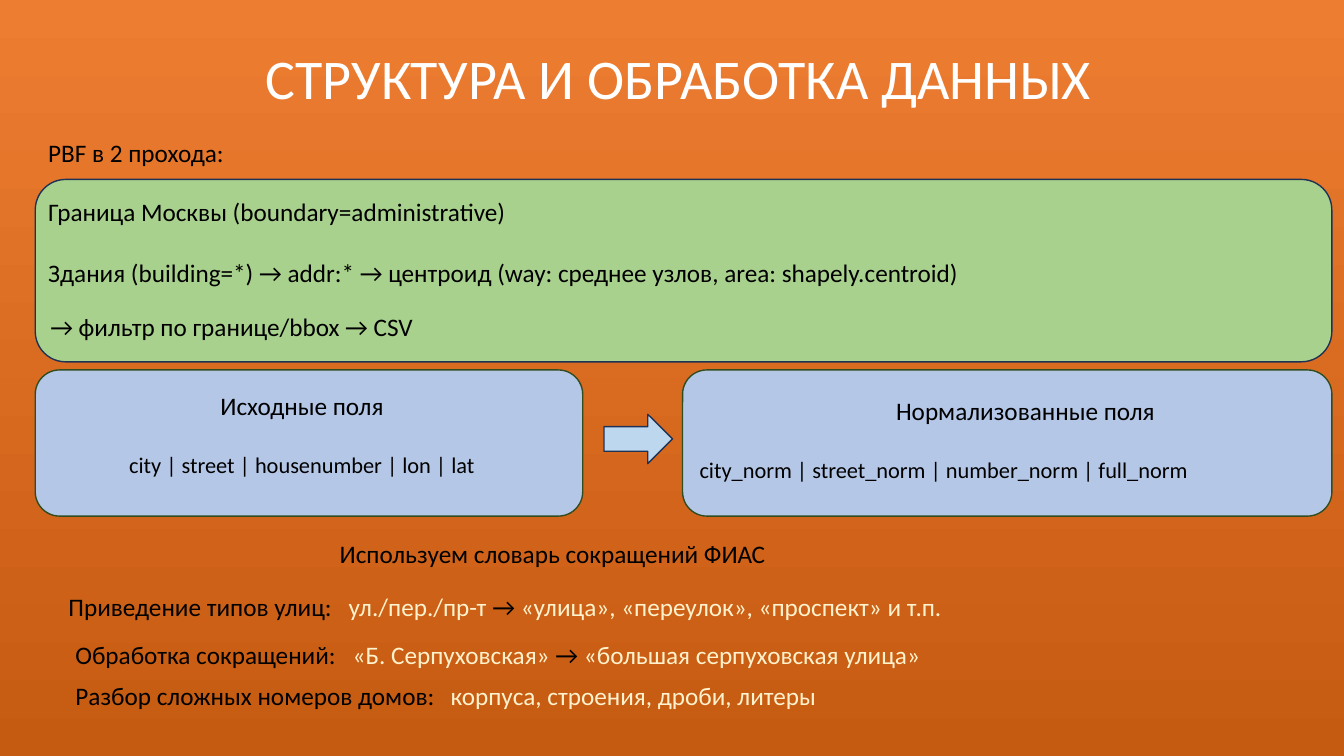
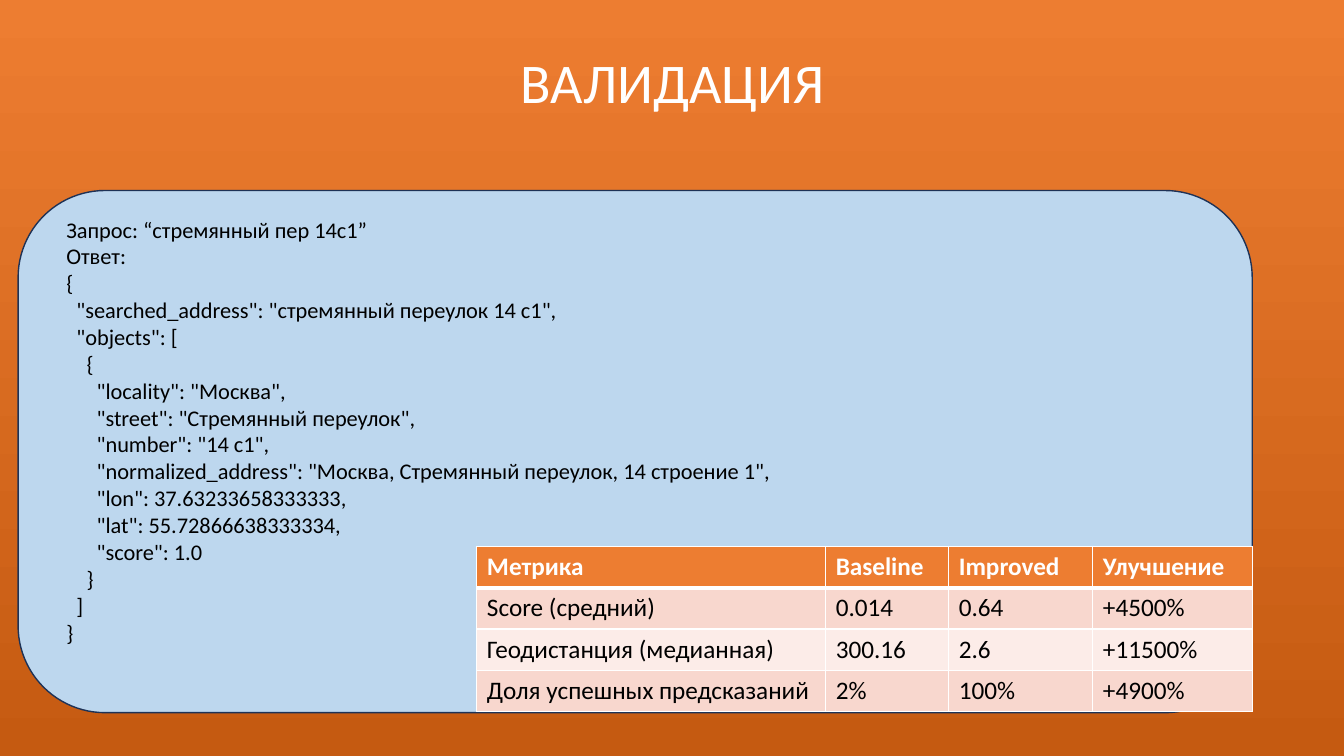
from dataclasses import dataclass
from typing import Any, Optional

from lxml import etree
from pptx import Presentation
from pptx import util as u
from pptx.dml.color import RGBColor
from pptx.enum import shapes, text
from pptx.oxml import ns

# Shared look
ORANGE, RUST, WHITE, BLACK, CREAM = "ED7D31", "C55A11", "FFFFFF", "000000", "FFF2CC"
PERIWINKLE, SKY, GREEN = "B4C7E7", "BDD7EE", "A9D18E"
NAVY, MOSS = "1E3256", "314C1F"
ROSE, BLUSH = "F8D7CE", "FCECE8"
FONT = "Calibri"
LEFT, CENTER = text.PP_ALIGN.LEFT, text.PP_ALIGN.CENTER
ROUND, ARROW = shapes.MSO_SHAPE.ROUNDED_RECTANGLE, shapes.MSO_SHAPE.RIGHT_ARROW


@dataclass
class Box:
    left: float
    top: float
    width: float
    height: float

    def emu(self) -> list[u.Length]:
        return [u.Inches(v) for v in (self.left, self.top, self.width, self.height)]


@dataclass
class Panel:
    box: Box
    fill: str
    line: str
    kind: Any = ROUND


@dataclass
class Para:
    runs: list[tuple[str, str]]
    size: float = 18
    align: Any = LEFT
    before: float = 0
    tab: Optional[float] = None


@dataclass
class Label:
    box: Box
    paras: list[Para]


def plain(words: str, **kw: Any) -> Para:
    return Para([(words, BLACK)], **kw)


def rgb(color: str) -> RGBColor:
    return RGBColor.from_string(color)


def set_font(font: Any, size: float, color: str, bold: bool = False) -> None:
    for name, value in {"name": FONT, "size": u.Pt(size), "bold": bold}.items():
        setattr(font, name, value)
    font.color.rgb = rgb(color)


def set_background(prs: Any) -> None:
    fill = prs.slide_master.background.fill
    fill.gradient()
    fill.gradient_angle = 270
    for stop, color in zip(fill.gradient_stops, (ORANGE, RUST)):
        stop.color.rgb = rgb(color)


def add_titled_slide(prs: Any, title: str, box: Box) -> Any:
    s = prs.slides.add_slide(prs.slide_layouts[5])
    sp = s.shapes.title
    sp.left, sp.top, sp.width, sp.height = box.emu()
    tf = sp.text_frame
    tf.text = title
    tf.vertical_anchor = text.MSO_ANCHOR.MIDDLE
    p = tf.paragraphs[0]
    for name, value in {"alignment": CENTER, "line_spacing": 0.9}.items():
        setattr(p, name, value)
    set_font(p.runs[0].font, 40, WHITE)
    return s


def add_panel(s: Any, panel: Panel) -> None:
    sp = s.shapes.add_shape(panel.kind, *panel.box.emu())
    sp.shadow.inherit = False
    sp.fill.solid()
    sp.fill.fore_color.rgb = rgb(panel.fill)
    sp.line.color.rgb = rgb(panel.line)
    sp.line.width = u.Pt(1)


def add_tab_stop(p: Any, position: float) -> None:
    tabs = etree.SubElement(p._p.get_or_add_pPr(), ns.qn("a:tabLst"))
    etree.SubElement(tabs, ns.qn("a:tab"), pos=str(u.Inches(position)), algn="l")


def add_label(s: Any, label: Label) -> None:
    tf = s.shapes.add_textbox(*label.box.emu()).text_frame
    tf.word_wrap = True
    for i, para in enumerate(label.paras):
        p = tf.paragraphs[0] if i == 0 else tf.add_paragraph()
        if para.tab is not None:
            add_tab_stop(p, para.tab)
        p.alignment = para.align
        if para.before:
            p.space_before = u.Pt(para.before)
        for words, color in para.runs:
            r = p.add_run()
            r.text = words
            set_font(r.font, para.size, color)


def set_borders(cell: Any, widths: dict[str, float]) -> None:
    tcPr = cell._tc.get_or_add_tcPr()
    for side, width in widths.items():
        ln = etree.SubElement(tcPr, ns.qn(f"a:ln{side}"), w=str(u.Pt(width)))
        solid = etree.SubElement(ln, ns.qn("a:solidFill"))
        etree.SubElement(solid, ns.qn("a:srgbClr"), val=WHITE)


def add_metrics_table(s: Any, box: Box, widths: list[float], rows: list[list[str]]) -> None:
    table = s.shapes.add_table(len(rows), len(widths), *box.emu()).table
    for column, width in zip(table.columns, widths):
        column.width = u.Inches(width)
    for i, row in enumerate(rows):
        fill = ORANGE if i == 0 else (BLUSH, ROSE)[i % 2]
        for j, words in enumerate(row):
            cell = table.cell(i, j)
            # The rule under the header is heavier
            set_borders(cell, {"L": 1, "R": 1, "T": 3 if i == 1 else 1, "B": 3 if i == 0 else 1})
            cell.fill.solid()
            cell.fill.fore_color.rgb = rgb(fill)
            cell.text = words
            font = cell.text_frame.paragraphs[0].runs[0].font
            set_font(font, 18, WHITE if i == 0 else BLACK, bold=i == 0)


def fields(box: Box, heading: str, names: str, align: Any) -> Label:
    return Label(box, [plain(heading, align=CENTER),
                       plain(names, size=16, align=align, before=22)])


def rule(box: Box, tab: float, name: str, *parts: str) -> Label:
    """A black name, then cream values joined by a black arrow."""
    runs = [(name + "\t", BLACK), (parts[0], CREAM)]
    for part in parts[1:]:
        runs += [(" →", BLACK), (" " + part, CREAM)]
    return Label(box, [Para(runs, tab=tab)])


DATA_PANELS = [
    Panel(Box(0.35, 3.67, 5.43, 1.45), PERIWINKLE, MOSS),
    Panel(Box(6.77, 3.67, 6.44, 1.45), PERIWINKLE, MOSS),
    Panel(Box(5.99, 4.11, 0.68, 0.49), SKY, NAVY, ARROW),
    Panel(Box(0.35, 1.78, 12.86, 1.81), GREEN, NAVY),
]

DATA_LABELS = [
    Label(Box(0.38, 1.31, 2.68, 0.4), [plain("PBF в 2 прохода:")]),
    Label(Box(0.38, 1.9, 12.61, 1.01), [
        plain("Граница Москвы (boundary=administrative)"),
        plain("Здания (building=*) → addr:* → центроид "
              "(way: среднее узлов, area: shapely.centroid)", before=22),
    ]),
    Label(Box(0.4, 3.04, 6.72, 0.4), [plain("→ фильтр по границе/bbox → CSV")]),
    fields(Box(0.15, 3.82, 5.69, 1.01), "Исходные поля",
           "city | street | housenumber | lon | lat", CENTER),
    fields(Box(6.84, 3.87, 6.66, 0.98), "Нормализованные поля",
           "city_norm | street_norm | number_norm | full_norm", LEFT),
    Label(Box(3.27, 5.29, 6.72, 0.4), [plain("Используем словарь сокращений ФИАС")]),
    rule(Box(0.58, 5.82, 11.71, 0.4), 2.78, "Приведение типов улиц:",
         "ул./пер./пр-т", "«улица», «переулок», «проспект» и т.п."),
    rule(Box(0.65, 6.29, 11.57, 0.4), 2.75, "Обработка сокращений:",
         "«Б. Серпуховская»", "«большая серпуховская улица»"),
    rule(Box(0.65, 6.7, 11.06, 0.4), 3.72, "Разбор сложных номеров домов:",
         "корпуса, строения, дроби, литеры"),
]

RESPONSE = """Запрос: “стремянный пер 14с1”
Ответ:
{
  "searched_address": "стремянный переулок 14 с1",
  "objects": [
    {
      "locality": "Москва",
      "street": "Стремянный переулок",
      "number": "14 с1",
      "normalized_address": "Москва, Стремянный переулок, 14 строение 1",
      "lon": 37.63233658333333,
      "lat": 55.72866638333334,
      "score": 1.0
    }
  ]
}"""

METRICS = [
    ["Метрика", "Baseline", "Improved", "Улучшение"],
    ["Score (средний)", "0.014", "0.64", "+4500%"],
    ["Геодистанция (медианная)", "300.16", "2.6", "+11500%"],
    ["Доля успешных предсказаний", "2%", "100%", "+4900%"],
]


def build_data_slide(prs: Any) -> None:
    s = add_titled_slide(prs, "СТРУКТУРА И ОБРАБОТКА ДАННЫХ", Box(0.38, 0.08, 12.7, 1.45))
    for panel in DATA_PANELS:
        add_panel(s, panel)
    for label in DATA_LABELS:
        add_label(s, label)


def build_validation_slide(prs: Any) -> None:
    s = add_titled_slide(prs, "ВАЛИДАЦИЯ", Box(0.32, 0.12, 12.7, 1.45))
    add_panel(s, Panel(Box(0.18, 1.89, 12.24, 5.18), SKY, NAVY))
    add_metrics_table(s, Box(4.73, 5.42, 7.69, 1.64), [3.46, 1.22, 1.43, 1.58], METRICS)
    lines = [plain(line, size=16) for line in RESPONSE.splitlines()]
    add_label(s, Label(Box(0.56, 2.09, 11.27, 4.41), lines))


def main() -> None:
    prs = Presentation()
    prs.slide_width, prs.slide_height = u.Inches(13.33), u.Inches(7.5)
    set_background(prs)
    build_data_slide(prs)
    build_validation_slide(prs)
    prs.save("out.pptx")


if __name__ == "__main__":
    main()
